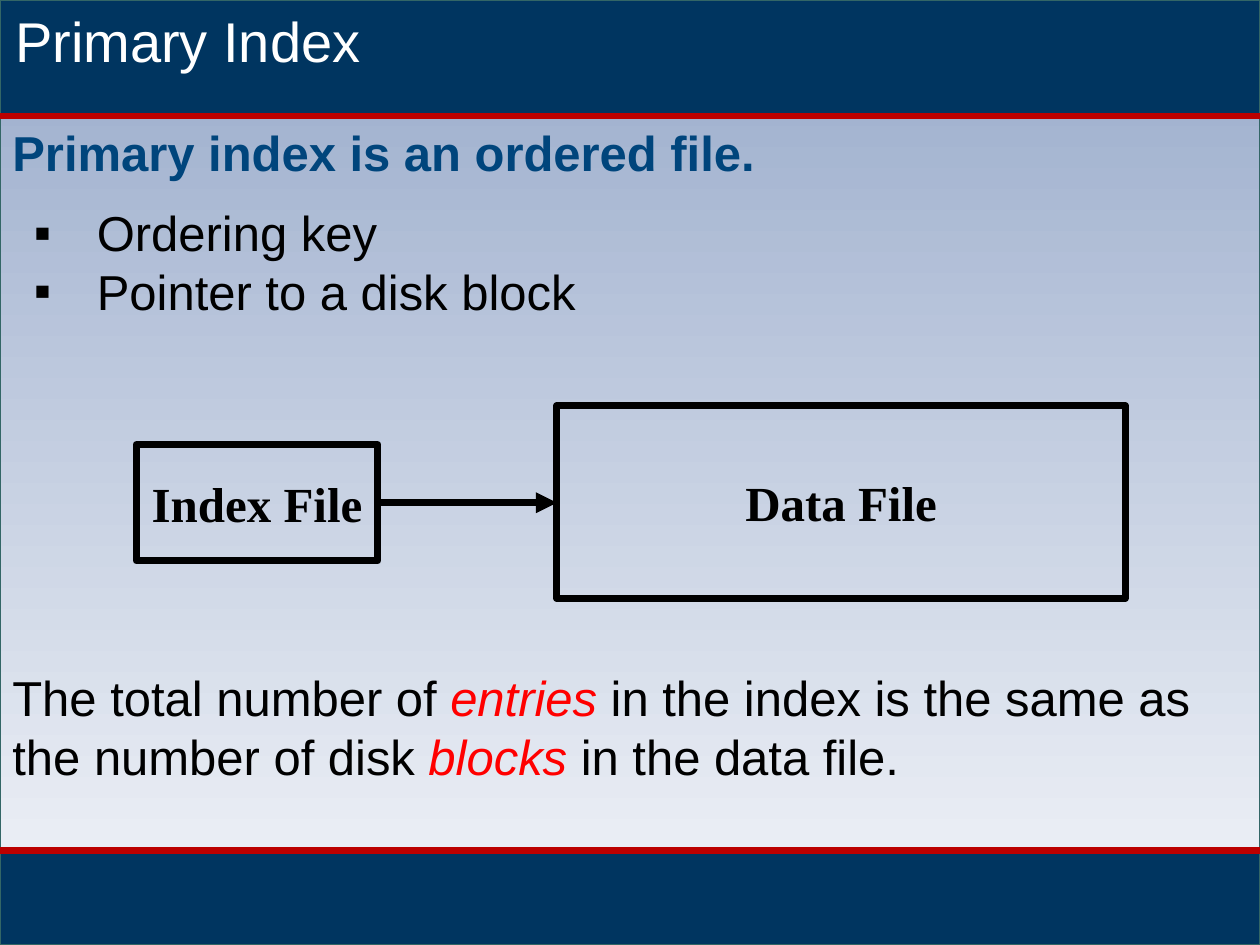
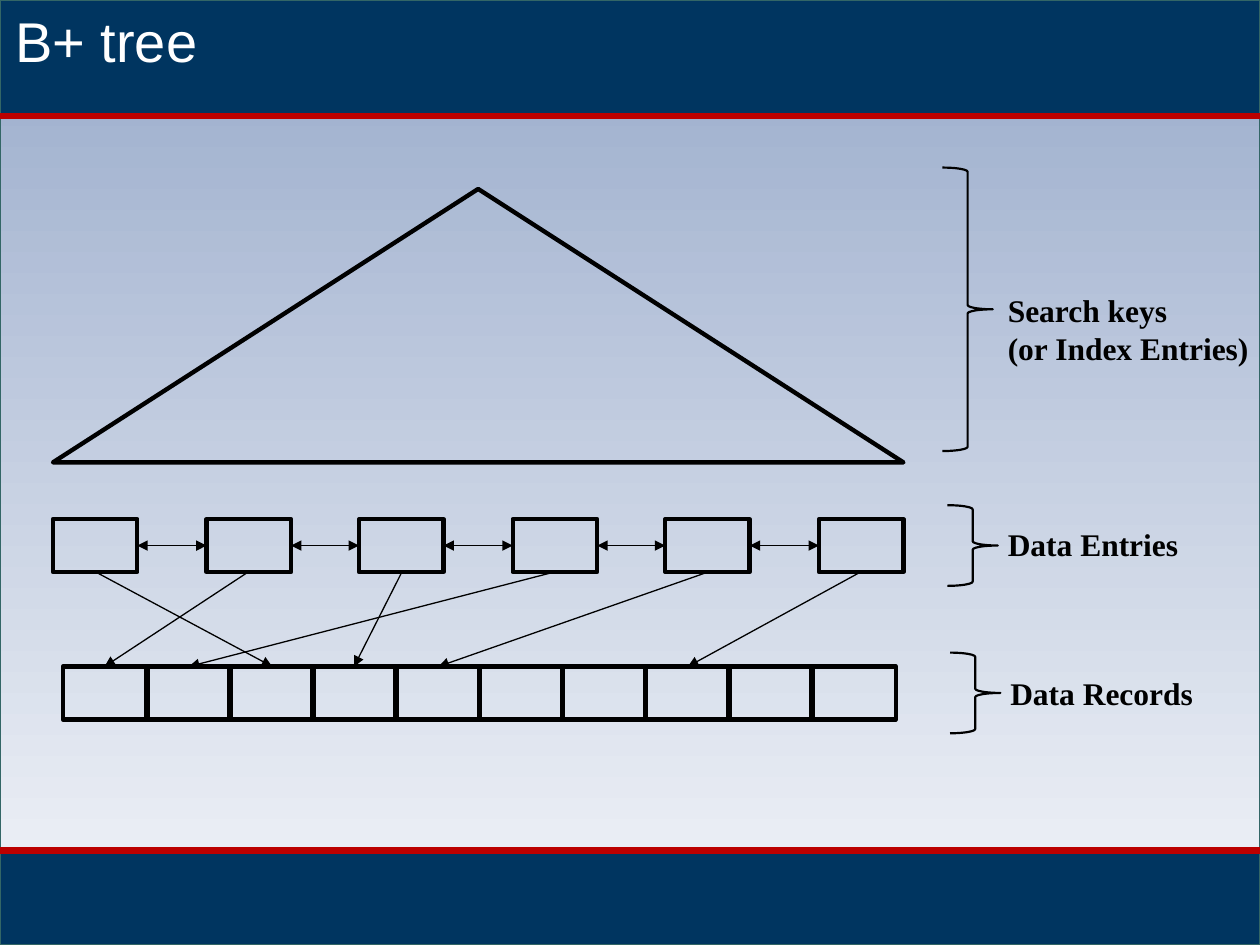
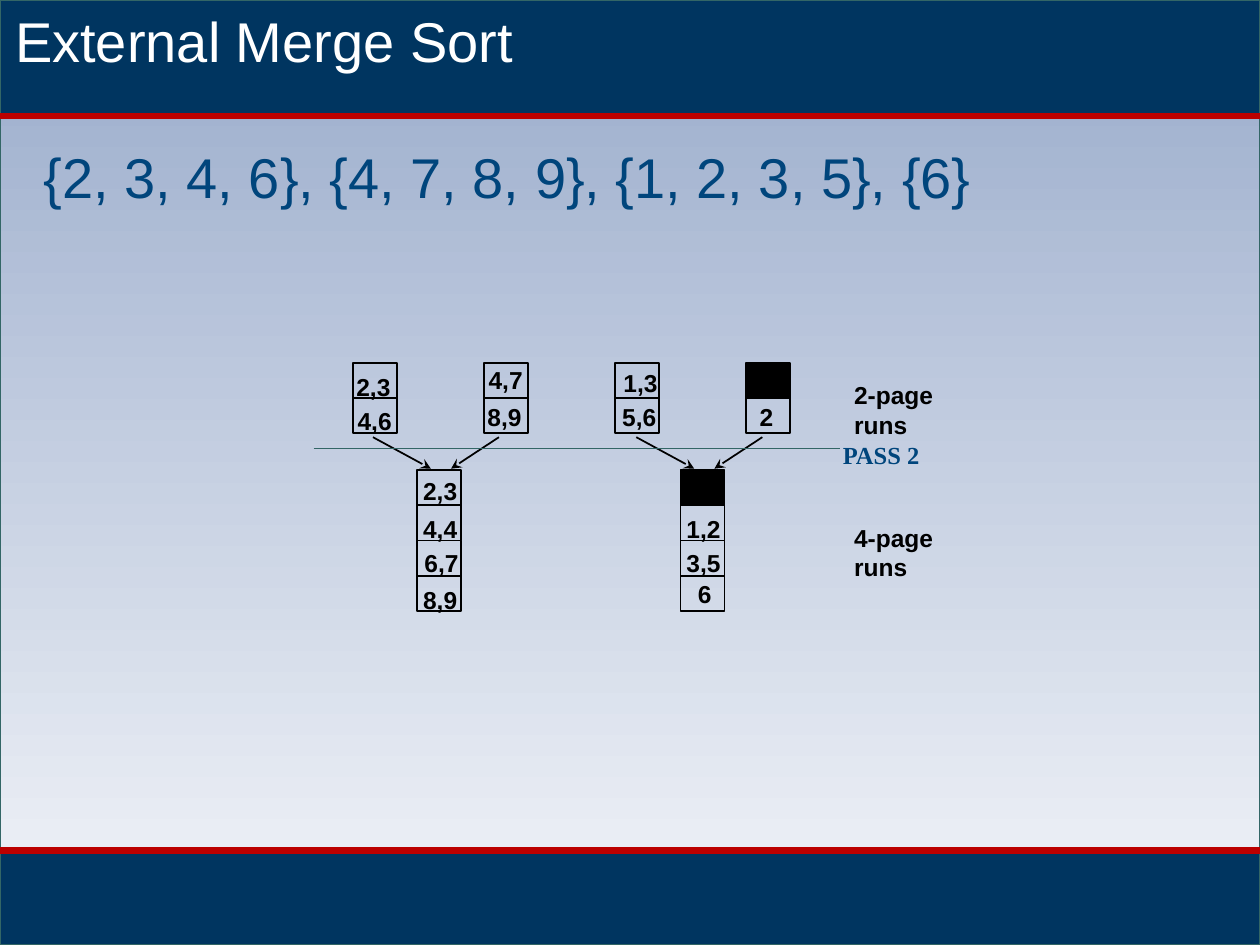
from dataclasses import dataclass

from lxml import etree
from pptx import Presentation
from pptx.dml.color import RGBColor
from pptx.enum.shapes import MSO_CONNECTOR, MSO_SHAPE
from pptx.enum.text import MSO_ANCHOR, MSO_AUTO_SIZE, PP_ALIGN
from pptx.oxml.ns import qn
from pptx.util import Inches, Pt

RECT, TRIANGLE, BRACE = MSO_SHAPE.RECTANGLE, MSO_SHAPE.ISOSCELES_TRIANGLE, MSO_SHAPE.RIGHT_BRACE
STRAIGHT = MSO_CONNECTOR.STRAIGHT
TOP, MIDDLE = MSO_ANCHOR.TOP, MSO_ANCHOR.MIDDLE
LEFT, CENTER = PP_ALIGN.LEFT, PP_ALIGN.CENTER
FIT_SHAPE, FIT_NONE = MSO_AUTO_SIZE.SHAPE_TO_FIT_TEXT, MSO_AUTO_SIZE.NONE


@dataclass(frozen=True)
class Theme:
    sans: str = "Arial"
    serif: str = "Times New Roman"
    black: str = "000000"
    white: str = "FFFFFF"
    navy: str = "003560"
    blue: str = "00457C"
    red: str = "BC0000"
    accent: str = "FF0000"
    teal: str = "336666"
    sky_top: str = "99ABCB"
    sky_bottom: str = "F3F5F9"
    title: int = 32
    body: int = 28
    label: int = 18
    small: int = 14


T = Theme()
W, H = 10, 7.5
HEADER_H, FOOTER_Y = 0.92, 6.75
TITLE_BOX = (0.02, 0, 9.98, 0.64)

HEADLINE = "Primary index is an ordered file."
FIELDS = ["Ordering key", "Pointer to a disk block"]
SUMMARY = ["The total number of ", "entries", " in the index is the same as the number of disk ",
           "blocks", " in the data file."]
FILES = [("Index File", (1.08, 3.53, 1.92, 0.92)), ("Data File", (4.42, 3.22, 4.51, 1.53))]

LEVELS = [
    ((7.48, 1.33, 0.4, 2.25), ["Search keys", "(or Index Entries)"], (7.9, 2.26, 2.13, 0.71)),
    ((7.52, 4.01, 0.4, 0.64), ["Data Entries"], (7.9, 4.12, 1.57, 0.4)),
    ((7.54, 5.18, 0.4, 0.64), ["Data Records"], (7.92, 5.3, 1.67, 0.4)),
]
ENTRY_TO_RECORD = [2, 0, 3, 1, 4, 7]
RECORD_COUNT = 10

SORTED_RUNS = "{2, 3, 4, 6}, {4, 7, 8, 9}, {1, 2, 3, 5}, {6}"
TWO_PAGE_RUNS = [
    [("2,3", 2.73, 2.9), ("4,6", 2.74, 3.17)],
    [("4,7", 3.78, 2.85), ("8,9", 3.77, 3.14)],
    [("1,3", 4.85, 2.87), ("5,6", 4.84, 3.14)],
    [None, ("2", 5.93, 3.14)],
]
FOUR_PAGE_RUNS = [
    [("2,3", 3.26, 3.73), ("4,4", 3.26, 4.03), ("6,7", 3.27, 4.3), ("8,9", 3.26, 4.59)],
    [None, ("1,2", 5.35, 4.03), ("3,5", 5.35, 4.3), ("6", 5.44, 4.55)],
]
RUN_LABELS = [("2-page runs", 2.97), ("4-page runs", 4.1)]


def rgb(color):
    return RGBColor.from_string(color)


def inches(values):
    return [Inches(round(v, 2)) for v in values]


def style_runs(p, size, color, font, bold=False):
    for r in p.runs:
        r.font.size, r.font.name, r.font.bold = Pt(size), font, bold
        r.font.color.rgb = rgb(color)


def add_text(s, box, paragraphs, size, color=T.black, font=T.sans, bold=False, wrap=False):
    tf = s.shapes.add_textbox(*inches(box)).text_frame
    tf.word_wrap, tf.auto_size = wrap, FIT_SHAPE
    for i, text in enumerate(paragraphs):
        p = tf.add_paragraph() if i else tf.paragraphs[0]
        p.text = text
        style_runs(p, size, color, font, bold)
    return tf


def add_box(s, kind, box, width, color=T.black, fill=None):
    sp = s.shapes.add_shape(kind, *inches(box))
    sp.shadow.inherit = False
    sp.line.color.rgb, sp.line.width = rgb(color), Pt(width)
    if fill:
        sp.fill.solid()
        sp.fill.fore_color.rgb = rgb(fill)
    else:
        sp.fill.background()
    return sp


def add_line(s, start, end, width, color=T.black, head=None, tail=None):
    c = s.shapes.add_connector(STRAIGHT, *inches(start + end))
    c.line.color.rgb, c.line.width = rgb(color), Pt(width)
    spPr = c.element.spPr
    ln = spPr.find(qn("a:ln"))
    for tag, arrow in (("a:headEnd", head), ("a:tailEnd", tail)):
        if arrow:
            etree.SubElement(ln, qn(tag), type=arrow)
    etree.SubElement(spPr, qn("a:effectLst"))
    return c


def add_bullets(tf):
    for p in tf.paragraphs:
        pPr = p._p.get_or_add_pPr()
        pPr.set("marL", str(Inches(0.5)))
        pPr.set("indent", str(-Inches(0.5)))
        etree.SubElement(pPr, qn("a:buFont"), typeface=T.sans)
        etree.SubElement(pPr, qn("a:buChar"), char="▪")


def dress_layout(layout, s):
    sky = add_box(s, RECT, (0, 0, W, H), 0.75, T.teal)
    sky.fill.gradient()
    sky.fill.gradient_angle = 270
    for stop, color in zip(sky.fill.gradient_stops, (T.sky_top, T.sky_bottom)):
        stop.color.rgb = rgb(color)
    parts = [sky]
    for y, h in ((FOOTER_Y, H - FOOTER_Y), (0, HEADER_H)):
        parts.append(add_box(s, RECT, (0, y, W, h), 0.75, T.teal, T.navy))
    for y in (HEADER_H, FOOTER_Y):
        parts.append(add_line(s, (0, y), (W, y), 3.75, T.red))
    for i, part in enumerate(parts):
        part.element.xpath(".//p:cNvPr")[0].set("id", str(100 + i))
        layout.shapes.element.insert(2 + i, part.element)


def add_slide(prs, layout, title):
    s = prs.slides.add_slide(layout)
    sp = s.shapes.title
    sp.left, sp.top, sp.width, sp.height = inches(TITLE_BOX)
    tf = sp.text_frame
    tf.text = title
    tf.word_wrap, tf.auto_size, tf.vertical_anchor = True, FIT_NONE, TOP
    p = tf.paragraphs[0]
    p.alignment = LEFT
    style_runs(p, T.title, T.white, T.sans)
    return s


def fill_primary_index(s):
    add_text(s, (0, 0.92, 6.16, 0.57), [HEADLINE], T.body, T.blue, bold=True)
    add_bullets(add_text(s, (0.17, 1.56, 4.51, 1.04), FIELDS, T.body))

    p = add_text(s, (0, 5.25, 9.98, 1.04), [""], T.body, wrap=True).paragraphs[0]
    for part in SUMMARY:
        p.add_run().text = part
    style_runs(p, T.body, T.black, T.sans)
    for r in p.runs[1::2]:
        r.font.italic = True
        r.font.color.rgb = rgb(T.accent)

    for name, box in FILES:
        tf = add_box(s, RECT, box, 4).text_frame
        tf.text = name
        tf.word_wrap, tf.vertical_anchor = False, MIDDLE
        tf.paragraphs[0].alignment = CENTER
        style_runs(tf.paragraphs[0], T.body, T.black, T.serif, True)
    add_line(s, (3, 3.99), (4.42, 3.99), 4, tail="triangle")


def fill_tree(s):
    cell_w, cell_h = 0.67, 0.42
    entry_y, record_y = 4.12, 5.29
    entry_x = [0.42 + 1.216 * i for i in range(len(ENTRY_TO_RECORD))]
    record_x = [0.5 + 0.66 * i for i in range(RECORD_COUNT)]

    add_box(s, TRIANGLE, (0.42, 1.5, 6.75, 2.17), 2.5)
    for xs, y in ((entry_x, entry_y), (record_x, record_y)):
        for x in xs:
            add_box(s, RECT, (x, y, cell_w, cell_h), 2.5)
    mid = entry_y + cell_h / 2
    for x, next_x in zip(entry_x, entry_x[1:]):
        add_line(s, (x + cell_w, mid), (next_x, mid), 0.75, head="triangle", tail="triangle")
    for x, record in zip(entry_x, ENTRY_TO_RECORD):
        add_line(s, (x + cell_w / 2, entry_y + cell_h),
                 (record_x[record] + cell_w / 2, record_y), 0.75, tail="triangle")
    for brace, lines, box in LEVELS:
        add_box(s, BRACE, brace, 1.25)
        add_text(s, box, lines, T.label, font=T.serif, bold=True)


def add_run_column(s, x, y, pages):
    page_w, page_h = 0.35, 0.28
    for i, page in enumerate(pages):
        add_box(s, RECT, (x, y + i * page_h, page_w, page_h), 1, fill=None if page else T.black)
        if page:
            text, left, top = page
            add_text(s, (left, top, 0.47 if len(text) > 1 else 0.31, 0.33), [text],
                     T.small, bold=True)


def fill_merge_sort(s):
    add_text(s, (0.25, 1.08, 7.63, 0.64), [SORTED_RUNS], T.title, T.blue)
    for text, y in RUN_LABELS:
        add_text(s, (6.68, y, 1.25, 0.57), [text], T.small, bold=True, wrap=True)
    add_text(s, (6.59, 3.44, 0.82, 0.33), ["PASS 2"], T.small, T.blue, T.serif, True)
    for i, pages in enumerate(TWO_PAGE_RUNS):
        add_run_column(s, 2.8 + 1.04 * i, 2.88, pages)
    for i, pages in enumerate(FOUR_PAGE_RUNS):
        x = 3.31 + 2.09 * i
        add_run_column(s, x, 3.73, pages)
        for start, end in ((-0.35, 0.11), (0.65, 0.27)):
            add_line(s, (x + start, 3.47), (x + end, 3.72), 1, tail="stealth")
    add_line(s, (2.49, 3.56), (6.67, 3.56), 1, T.teal)


SLIDES = [
    ("Primary Index", fill_primary_index),
    ("B+ tree", fill_tree),
    ("External Merge Sort", fill_merge_sort),
]


def main():
    prs = Presentation()
    prs.slide_width, prs.slide_height = Inches(W), Inches(H)
    layout = prs.slide_layouts[5]
    for i, (title, fill) in enumerate(SLIDES):
        s = add_slide(prs, layout, title)
        if i == 0:
            dress_layout(layout, s)
        fill(s)
    prs.save("out.pptx")


if __name__ == "__main__":
    main()
